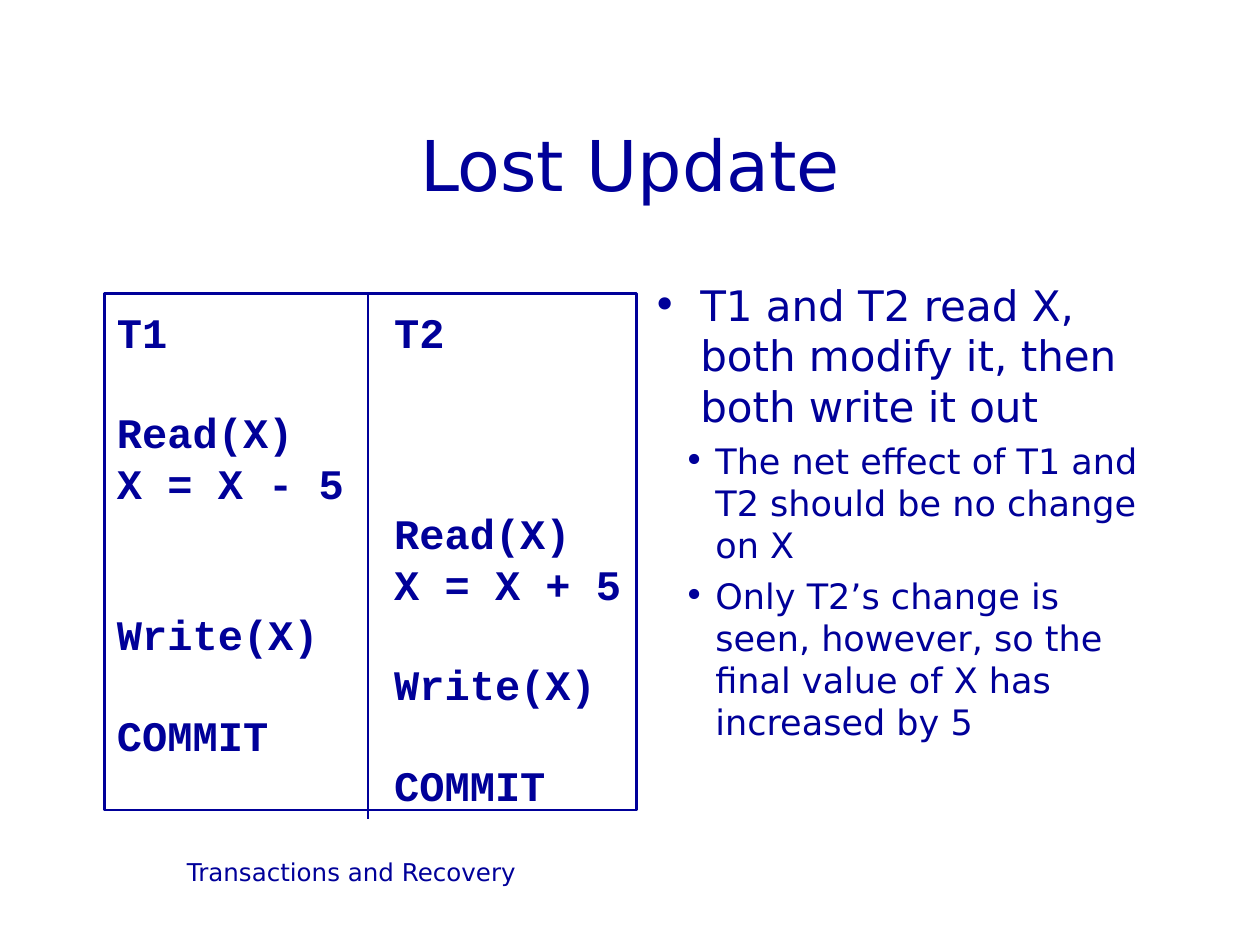
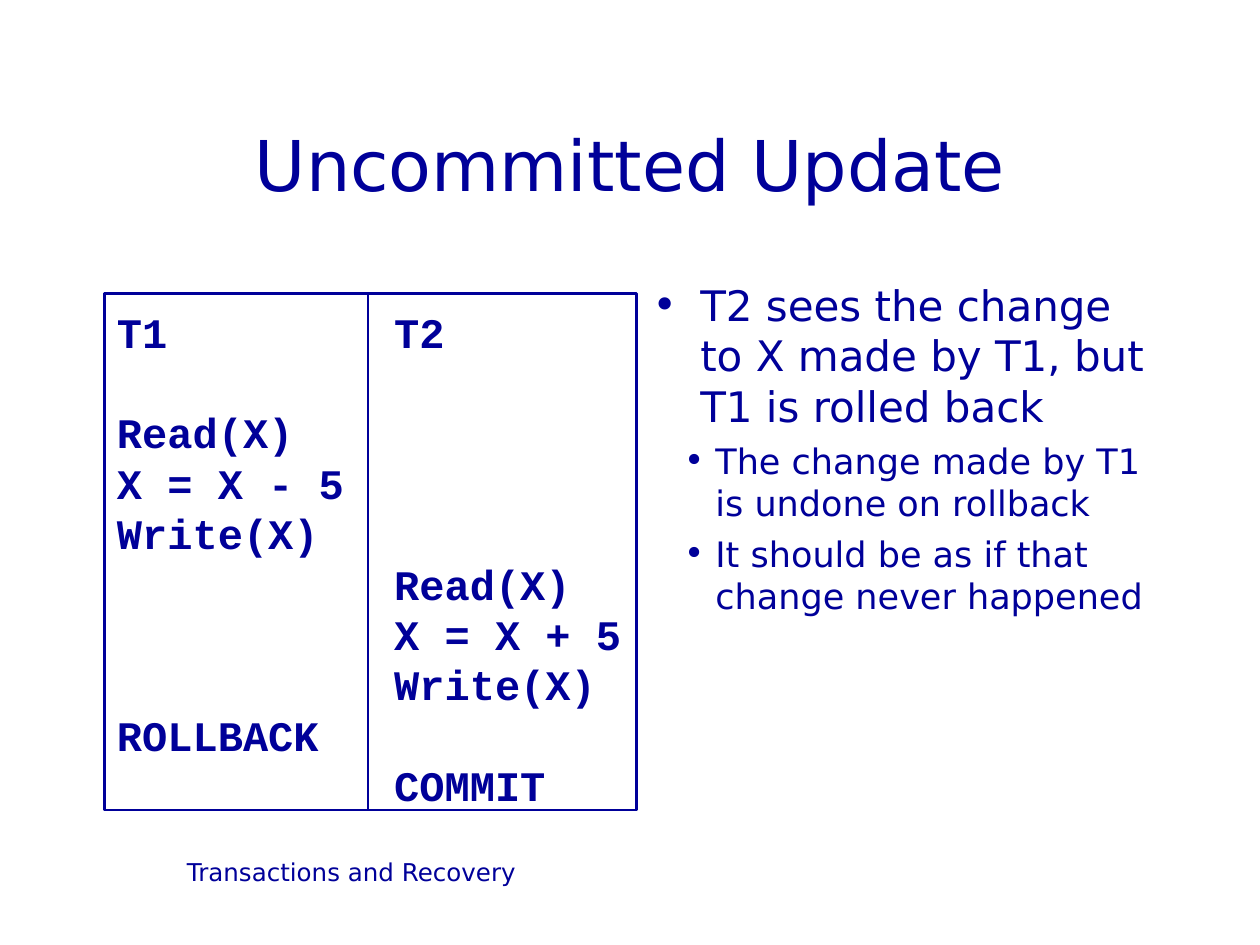
from lxml import etree
from pptx import Presentation
from pptx.dml.color import RGBColor
from pptx.enum.shapes import MSO_CONNECTOR, MSO_SHAPE
from pptx.enum.text import MSO_ANCHOR, PP_ALIGN
from pptx.oxml.ns import qn
from pptx.util import Inches, Pt

NAVY = RGBColor(0x00, 0x00, 0x99)
TEXT_FONT = "DejaVu Sans"
CODE_FONT = "Courier New"
LINE_PITCH = 1.2  # line height as a multiple of the text size
CODE_SIZE = 24

FRAME = (0.83, 2.33, 4.22, 4.1)
DIVIDER_X = 2.92
T2_TAB = 2.2

# Text size, left margin, first-line indent and space before, by bullet level
BULLET_LEVELS = [
    {"size": 24, "margin": 0.38, "indent": -0.38, "before": 6},
    {"size": 20, "margin": 0.5, "indent": -0.25, "before": 5},
]

# Each schedule step is (transaction, operation), in order of time
SLIDES = [
    {
        "title": "Lost Update",
        "steps": [
            (1, "Read(X)"), (1, "X = X - 5"),
            (2, "Read(X)"), (2, "X = X + 5"),
            (1, "Write(X)"), (2, "Write(X)"),
            (1, "COMMIT"), (2, "COMMIT"),
        ],
        "divider_end": 6.5,
        "bullets": [
            (0, "T1 and T2 read X, both modify it, then both write it out"),
            (1, "The net effect of T1 and T2 should be no change on X"),
            (1, "Only T2’s change is seen, however, so the final value of X "
                "has increased by 5"),
        ],
    },
    {
        "title": "Uncommitted Update",
        "steps": [
            (1, "Read(X)"), (1, "X = X - 5"), (1, "Write(X)"),
            (2, "Read(X)"), (2, "X = X + 5"), (2, "Write(X)"),
            (1, "ROLLBACK"), (2, "COMMIT"),
        ],
        "divider_end": 6.42,
        "bullets": [
            (0, "T2 sees the change to X made by T1, but T1 is rolled back"),
            (1, "The change made by T1 is undone on rollback"),
            (1, "It should be as if that change never happened"),
        ],
    },
]


def set_values(target, values):
    for name, value in values.items():
        setattr(target, name, value)


def place(left, top, width, height):
    return [Inches(length) for length in (left, top, width, height)]


def write(para, text, size, font=TEXT_FONT, bold=False, **layout):
    """Add a run to the paragraph and apply paragraph settings."""
    span = para.add_run()
    span.text = text
    set_values(span.font, {"name": font, "size": Pt(size), "bold": bold})
    span.font.color.rgb = NAVY
    set_values(para, layout)


def paragraphs(frame, count):
    """Return the frame's first paragraph followed by new ones."""
    return [frame.paragraphs[0]] + [frame.add_paragraph() for _ in range(count - 1)]


def add_title(page, text):
    title = page.shapes.title
    title.left, title.top, title.width, title.height = place(0.75, 0.67, 8.5, 1.25)
    title.text_frame.vertical_anchor = MSO_ANCHOR.MIDDLE
    write(title.text_frame.paragraphs[0], text, 40, alignment=PP_ALIGN.CENTER)


def add_text_box(page, *bounds):
    frame = page.shapes.add_textbox(*place(*bounds)).text_frame
    frame.word_wrap = True
    return frame


def add_footer(page):
    frame = add_text_box(page, 0.75, 6.75, 4.08, 0.5)
    write(frame.paragraphs[0], "Transactions and Recovery", 14,
          alignment=PP_ALIGN.CENTER)


def add_bullets(page, bullets):
    frame = add_text_box(page, 5.08, 2.17, 4.17, 4.5)
    for index, (para, (level, text)) in enumerate(
            zip(paragraphs(frame, len(bullets)), bullets)):
        style = BULLET_LEVELS[level]
        properties = para._p.get_or_add_pPr()
        properties.set("marL", str(Inches(style["margin"])))
        properties.set("indent", str(Inches(style["indent"])))
        etree.SubElement(properties, qn("a:buFont"), typeface=TEXT_FONT)
        etree.SubElement(properties, qn("a:buChar"), char="•")
        write(para, text, style["size"], level=level,
              line_spacing=Pt(style["size"] * LINE_PITCH),
              space_before=Pt(style["before"] if index else 0))


def add_schedule(page, steps):
    """Frame the two transactions, one operation a row, T2 at a tab stop."""
    box = page.shapes.add_shape(MSO_SHAPE.RECTANGLE, *place(*FRAME))
    box.shadow.inherit = False
    box.fill.background()
    box.line.color.rgb = NAVY
    box.line.width = Pt(1.5)
    frame = box.text_frame
    set_values(frame, {"word_wrap": True, "vertical_anchor": MSO_ANCHOR.TOP,
                       "margin_top": Inches(0.1), "margin_bottom": 0})
    rows = ["T1\tT2"] + ["\t" * (number - 1) + step for number, step in steps]
    pitch = Pt(CODE_SIZE * LINE_PITCH)
    for index, (para, row) in enumerate(zip(paragraphs(frame, len(rows)), rows)):
        tabs = etree.SubElement(para._p.get_or_add_pPr(), qn("a:tabLst"))
        etree.SubElement(tabs, qn("a:tab"), pos=str(Inches(T2_TAB)), algn="l")
        write(para, row, CODE_SIZE, CODE_FONT, True, alignment=PP_ALIGN.LEFT,
              line_spacing=pitch, space_after=0 if index else pitch)


def add_divider(page, end):
    line = page.shapes.add_connector(
        MSO_CONNECTOR.STRAIGHT, *place(DIVIDER_X, FRAME[1], DIVIDER_X, end))
    line.line.color.rgb = NAVY
    line.line.width = Pt(1.5)
    etree.SubElement(line._element.spPr, qn("a:effectLst"))


def main():
    deck = Presentation()
    deck.slide_width, deck.slide_height = Inches(10), Inches(7.5)
    title_only = deck.slide_layouts[5]
    for content in SLIDES:
        page = deck.slides.add_slide(title_only)
        add_footer(page)
        add_title(page, content["title"])
        add_bullets(page, content["bullets"])
        add_schedule(page, content["steps"])
        add_divider(page, content["divider_end"])
    deck.save("out.pptx")


if __name__ == "__main__":
    main()
